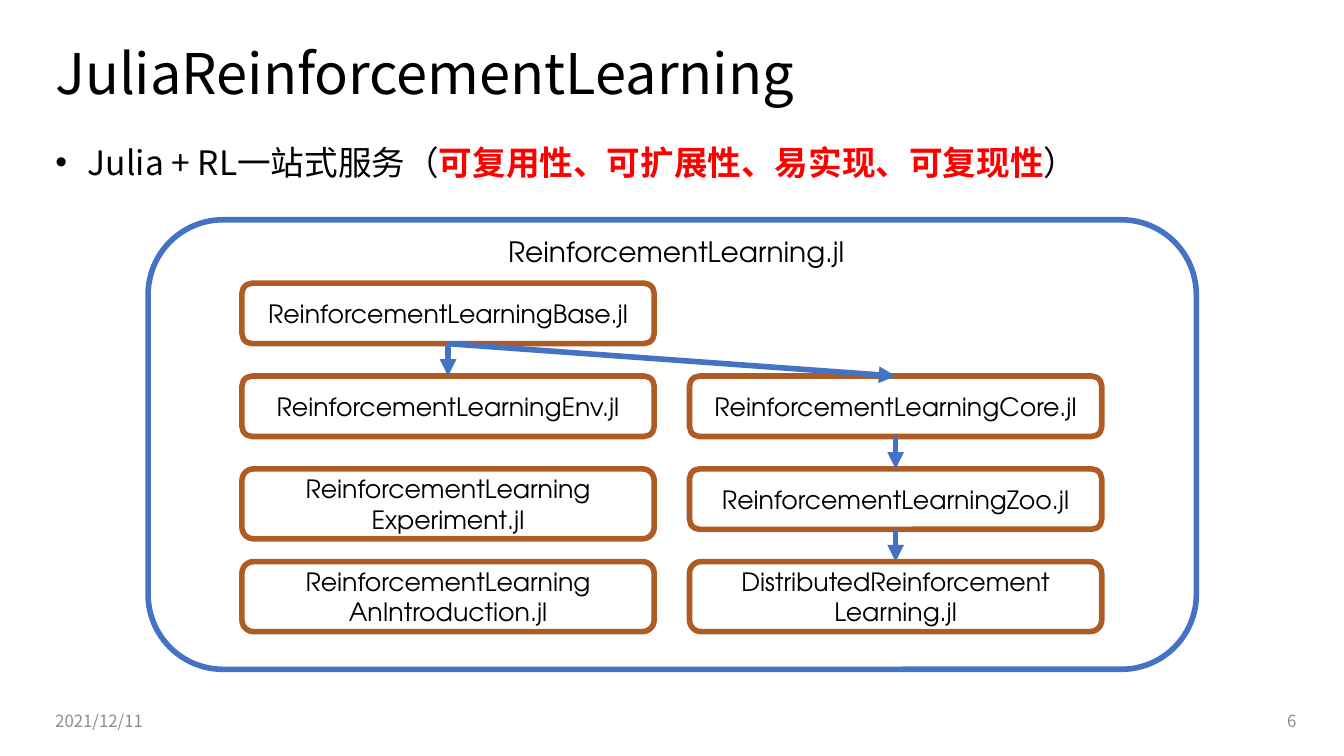
from lxml.etree import SubElement
from pptx import Presentation
from pptx.dml.color import RGBColor
from pptx.enum.shapes import MSO_CONNECTOR, MSO_SHAPE
from pptx.enum.text import MSO_ANCHOR, PP_ALIGN
from pptx.oxml.ns import qn
from pptx.util import Pt

# Content
SANS, GEO = "Noto Sans CJK SC", "TeX Gyre Adventor"
BLACK, RED, GREY, BLUE, BROWN = "000000", "FF0000", "8C8C8C", "4472C4", "AF5C24"
TITLE = "JuliaReinforcementLearning"
SERVICE = [(" Julia + RL一站式服务（", BLACK, False),
           ("可复用性、可扩展性、易实现、可复现性", RED, True),
           ("）", BLACK, False)]
DATE, PAGE = "2021/12/11", "6"
UMBRELLA = "ReinforcementLearning.jl"
# name: (column, row, lines)
PACKAGES = {
    "base": (0, 0, ["ReinforcementLearningBase.jl"]),
    "env": (0, 1, ["ReinforcementLearningEnv.jl"]),
    "experiment": (0, 2, ["ReinforcementLearning", "Experiment.jl"]),
    "intro": (0, 3, ["ReinforcementLearning", "AnIntroduction.jl"]),
    "core": (1, 1, ["ReinforcementLearningCore.jl"]),
    "zoo": (1, 2, ["ReinforcementLearningZoo.jl"]),
    "distributed": (1, 3, ["DistributedReinforcement", "Learning.jl"]),
}
ARROWS = [("base", "env"), ("base", "core"), ("core", "zoo"), ("zoo", "distributed")]

# Layout, in points
LEFT, TOP, COL_STEP, ROW_STEP = 172.8, 202.3, 319.7, 66.3
BOX_W, BOX_H = 294.5, {1: 43.2, 2: 50}
LINE_W = 4

prs = Presentation()
prs.slide_width, prs.slide_height = Pt(960), Pt(540)
s = prs.slides.add_slide(prs.slide_layouts[6])


def color(value):
    return RGBColor.from_string(value)


def add_run(p, text, size, font, fill=BLACK, bold=False):
    r = p.add_run()
    r.text = text
    r.font.size, r.font.name, r.font.bold = Pt(size), font, bold
    r.font.color.rgb = color(fill)
    SubElement(r.font._element, qn("a:ea")).set("typeface", font)


def add_text(x, y, w, h, runs, size, font, anchor=MSO_ANCHOR.MIDDLE,
             align=PP_ALIGN.LEFT, spacing=1.0):
    tf = s.shapes.add_textbox(Pt(x), Pt(y), Pt(w), Pt(h)).text_frame
    tf.word_wrap, tf.vertical_anchor = True, anchor
    p = tf.paragraphs[0]
    p.alignment, p.line_spacing = align, spacing
    for text, fill, bold in runs:
        add_run(p, text, size, font, fill, bold)
    return p


def add_frame(x, y, w, h, line):
    sp = s.shapes.add_shape(MSO_SHAPE.ROUNDED_RECTANGLE, Pt(x), Pt(y), Pt(w), Pt(h))
    sp.shadow.inherit = False
    sp.fill.background()
    sp.line.color.rgb, sp.line.width = color(line), Pt(LINE_W)
    return sp


def add_package(column, row, lines):
    sp = add_frame(LEFT + column * COL_STEP, TOP + row * ROW_STEP,
                   BOX_W, BOX_H[len(lines)], BROWN)
    tf = sp.text_frame
    tf.word_wrap, tf.vertical_anchor = True, MSO_ANCHOR.MIDDLE
    for i, line in enumerate(lines):
        p = tf.add_paragraph() if i else tf.paragraphs[0]
        p.alignment = PP_ALIGN.CENTER
        add_run(p, line, 18, GEO)
    return sp


def add_arrow(start, end):
    c = s.shapes.add_connector(MSO_CONNECTOR.STRAIGHT, 0, 0, 0, 0)
    c.begin_connect(start, 2)
    c.end_connect(end, 0)
    c.line.color.rgb, c.line.width = color(BLUE), Pt(LINE_W)
    SubElement(c.line._get_or_add_ln(), qn("a:tailEnd")).set("type", "triangle")
    SubElement(c._element.spPr, qn("a:effectLst"))


# Title, bullet and footer
add_text(32.4, 25.9, 828, 57.6, [(TITLE, BLACK, False)], 40, SANS, spacing=0.9)
p = add_text(32.4, 100.8, 900.7, 378, SERVICE, 24, SANS, MSO_ANCHOR.TOP, spacing=0.9)
p.space_before = Pt(10)
pPr = p._p.get_or_add_pPr()
pPr.set("marL", str(Pt(18)))
pPr.set("indent", str(-Pt(18)))
SubElement(pPr, qn("a:buFont")).set("typeface", "Arial")
SubElement(pPr, qn("a:buChar")).set("char", "•")
add_text(32.4, 500.4, 249.8, 28.8, [(DATE, GREY, False)], 12, SANS)
add_text(678.2, 500.4, 254.9, 28.8, [(PAGE, GREY, False)], 12, SANS, align=PP_ALIGN.RIGHT)

# Package diagram
add_frame(105.8, 157, 748.8, 321.1, BLUE)
add_text(325.4, 164.2, 315.4, 31.7, [(UMBRELLA, BLACK, False)], 20, GEO,
         MSO_ANCHOR.TOP, PP_ALIGN.CENTER)
boxes = {name: add_package(*package) for name, package in PACKAGES.items()}
for start, end in ARROWS:
    add_arrow(boxes[start], boxes[end])

prs.save("out.pptx")
